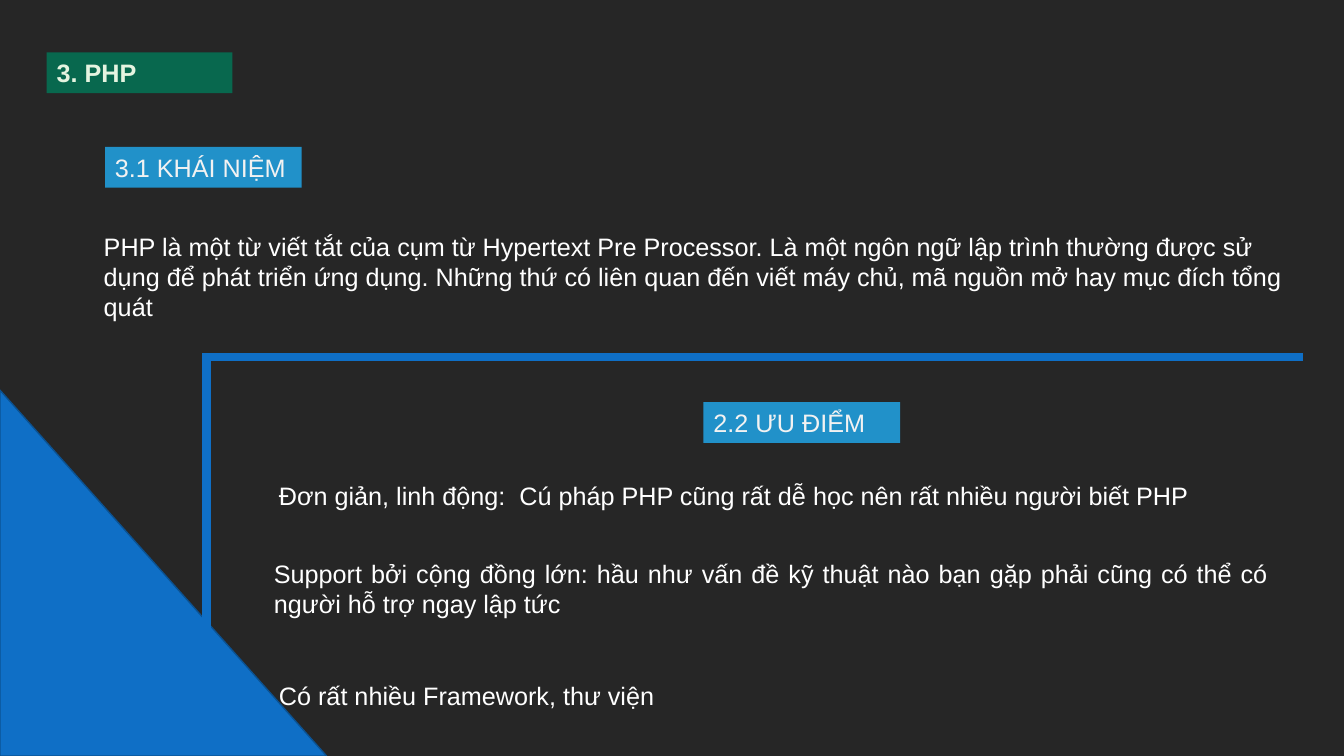
from collections import namedtuple
from lxml import etree
from pptx import Presentation
from pptx import util as u
from pptx.dml.color import RGBColor
from pptx.enum import shapes, text
from pptx.oxml.ns import qn

Theme = namedtuple("Theme", "font size back green mint sky pale white blue edge")
theme = Theme("Arial", 18, "262626", "08684E", "E5F4E0", "2191C9", "F2F2F2",
              "FFFFFF", "0F6FC6", "0B5292")


def rgb(code):
    return RGBColor.from_string(code)


def write(sp, words, color, bold=False, align=text.PP_ALIGN.LEFT):
    tf = sp.text_frame
    tf.word_wrap = True
    tf.auto_size = text.MSO_AUTO_SIZE.NONE
    tf.vertical_anchor = text.MSO_ANCHOR.TOP
    p = tf.paragraphs[0]
    p.alignment = align
    r = p.add_run()
    r.text = words
    r.font.name = theme.font
    r.font.size = u.Pt(theme.size)
    r.font.bold = bold
    r.font.color.rgb = rgb(color)


prs = Presentation()
prs.slide_width, prs.slide_height = u.Pt(960), u.Pt(540)
s = prs.slides.add_slide(prs.slide_layouts[5])
s.background.fill.solid()
s.background.fill.fore_color.rgb = rgb(theme.back)

title = s.shapes.title
title.left, title.top, title.width, title.height = map(u.Pt, (33.3, 37.4, 132.7, 29.1))
title.fill.solid()
title.fill.fore_color.rgb = rgb(theme.green)
write(title, "3. PHP", theme.mint, bold=True)

for left, top, words in [(75, 105, "3.1 KHÁI NIỆM"), (502.5, 287.2, "2.2 ƯU ĐIỂM")]:
    label = s.shapes.add_shape(shapes.MSO_SHAPE.RECTANGLE,
                               u.Pt(left), u.Pt(top), u.Pt(140.4), u.Pt(29.1))
    label.shadow.inherit = False
    label.fill.solid()
    label.fill.fore_color.rgb = rgb(theme.sky)
    label.line.fill.background()
    write(label, words, theme.pale)

corner = s.shapes.add_shape(shapes.MSO_SHAPE.RIGHT_TRIANGLE,
                            0, u.Pt(278.7), u.Pt(233.3), u.Pt(261.3))
corner.shadow.inherit = False
corner.fill.solid()
corner.fill.fore_color.rgb = rgb(theme.blue)
corner.line.color.rgb = rgb(theme.edge)
corner.line.width = u.Pt(1)

left_align, justify = text.PP_ALIGN.LEFT, text.PP_ALIGN.JUSTIFY
for left, top, width, height, align, words in [
    (67, 161.6, 863.3, 72.7, left_align,
     "PHP là một từ viết tắt của cụm từ Hypertext Pre Processor. Là một ngôn ngữ lập trình "
     "thường được sử dụng để phát triển ứng dụng. Những thứ có liên quan đến viết máy chủ, "
     "mã nguồn mở hay mục đích tổng quát"),
    (192.2, 339.8, 724.3, 29.1, left_align,
     "Đơn giản, linh động:  Cú pháp PHP cũng rất dễ học nên rất nhiều người biết PHP"),
    (188.6, 395.4, 724.3, 50.9, justify,
     "Support bởi cộng đồng lớn: hầu như vấn đề kỹ thuật nào bạn gặp phải cũng có thể có "
     "người hỗ trợ ngay lập tức"),
    (192.2, 482.6, 724.3, 29.1, left_align, "Có rất nhiều Framework, thư viện"),
]:
    box = s.shapes.add_textbox(u.Pt(left), u.Pt(top), u.Pt(width), u.Pt(height))
    write(box, words, theme.white, align=align)

for ends in [(147.5, 535.7, 147.5, 255), (930.5, 255, 144.3, 255)]:
    rule = s.shapes.add_connector(shapes.MSO_CONNECTOR.STRAIGHT, *map(u.Pt, ends))
    rule.line.color.rgb = rgb(theme.blue)
    rule.line.width = u.Pt(6)
    etree.SubElement(rule._element.spPr, qn("a:effectLst"))

prs.save("out.pptx")
